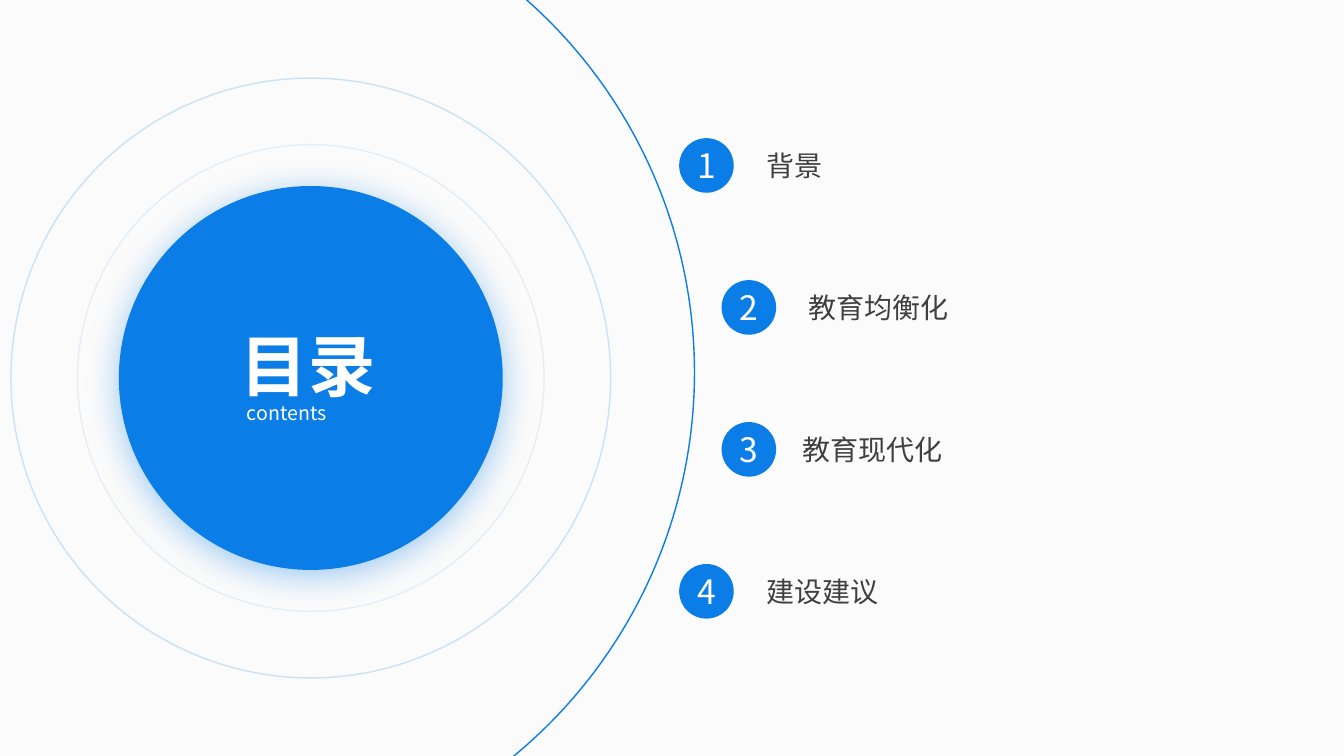
from lxml.etree import SubElement
from pptx import Presentation
from pptx.dml.color import RGBColor
from pptx.enum.shapes import MSO_SHAPE
from pptx.enum.text import MSO_ANCHOR, PP_ALIGN
from pptx.oxml.ns import qn
from pptx.util import Inches, Pt

COLORS = {"background": "FBFBFB", "blue": "0A7DE6", "white": "FFFFFF", "text": "404040"}
COLUMNS, ROWS = 32, 18
HUB = (7.4, 9)
BADGE_SIZE = 1.3
FIRST_ROW, ROW_STEP = 3.94, 3.38
TOPICS = [
    (16.82, 18.02, "背景"),
    (17.83, 19.01, "教育均衡化"),
    (17.83, 18.86, "教育现代化"),
    (16.82, 18.02, "建设建议"),
]


class ContentsSlide:
    """Draws styled elements on one slide, measured in grid columns and rows."""

    def __init__(self, presentation):
        self.column = presentation.slide_width / COLUMNS
        self.row = presentation.slide_height / ROWS
        self.slide = presentation.slides.add_slide(presentation.slide_layouts[6])
        fill = self.slide.background.fill
        fill.solid()
        fill.fore_color.rgb = self.color("background")

    def color(self, name):
        return RGBColor.from_string(COLORS[name])

    def box(self, left, top, width, height):
        return (round(left * self.column), round(top * self.row),
                round(width * self.column), round(height * self.row))

    def circle(self, center, diameter):
        left, top = (middle - diameter / 2 for middle in center)
        shape = self.slide.shapes.add_shape(
            MSO_SHAPE.OVAL, *self.box(left, top, diameter, diameter))
        shape.shadow.inherit = False
        return shape

    def ring(self, center, diameter, opacity=100):
        shape = self.circle(center, diameter)
        shape.fill.background()
        shape.line.color.rgb = self.color("blue")
        shape.line.width = Pt(1)
        if opacity < 100:
            line_color = shape._element.spPr.find(qn("a:ln")).find(".//" + qn("a:srgbClr"))
            SubElement(line_color, qn("a:alpha"), val=str(opacity * 1000))

    def disc(self, center, diameter):
        shape = self.circle(center, diameter)
        shape.fill.solid()
        shape.fill.fore_color.rgb = self.color("blue")
        shape.line.fill.background()
        return shape

    def glowing_disc(self, center, diameter):
        shape = self.disc(center, diameter)
        effects = shape._element.spPr.find(qn("a:effectLst"))
        shadow = SubElement(effects, qn("a:outerShdw"), blurRad=str(Pt(25)),
                            dist=str(Pt(4)), dir="5400000", algn="t", rotWithShape="0")
        shadow_color = SubElement(shadow, qn("a:srgbClr"), val=COLORS["blue"])
        SubElement(shadow_color, qn("a:alpha"), val="40000")

    def add_text(self, frame, text, size, color, align, bold=False, font="Noto Sans CJK SC"):
        paragraph = frame.paragraphs[0]
        paragraph.alignment = align
        run = paragraph.add_run()
        run.text = text
        run.font.size = Pt(size)
        run.font.bold = bold
        run.font.color.rgb = self.color(color)
        run.font.name = font
        SubElement(run._r.get_or_add_rPr(), qn("a:ea"), typeface=font)

    def badge(self, center, number):
        frame = self.disc(center, BADGE_SIZE).text_frame
        frame.margin_left = frame.margin_right = frame.margin_top = frame.margin_bottom = 0
        frame.vertical_anchor = MSO_ANCHOR.MIDDLE
        self.add_text(frame, str(number), 24, "white", PP_ALIGN.CENTER, font="Noto Sans CJK JP")

    def label(self, left, top, width, height, text, size, color, align, bold=False):
        frame = self.slide.shapes.add_textbox(*self.box(left, top, width, height)).text_frame
        frame.word_wrap = True
        self.add_text(frame, text, size, color, align, bold)


def main():
    presentation = Presentation()
    presentation.slide_width = Inches(13.33)
    presentation.slide_height = Inches(7.5)
    contents = ContentsSlide(presentation)

    contents.ring((4.69, 8.87), 23.69)
    contents.glowing_disc(HUB, 9.14)
    contents.label(5.5, 7.61, 3.84, 2.18, "目录", 48, "white", PP_ALIGN.JUSTIFY, bold=True)
    contents.label(5.64, 9.43, 3.55, 0.82, "contents", 14, "white", PP_ALIGN.JUSTIFY)
    contents.ring(HUB, 11.11, opacity=10)
    contents.ring(HUB, 14.28, opacity=20)

    for index, (badge_column, label_column, topic) in enumerate(TOPICS):
        middle = FIRST_ROW + index * ROW_STEP
        contents.badge((badge_column, middle), index + 1)
        contents.label(label_column, middle - 0.53, 9.5, 1.06, topic, 20, "text", PP_ALIGN.LEFT)

    presentation.save("out.pptx")


if __name__ == "__main__":
    main()
